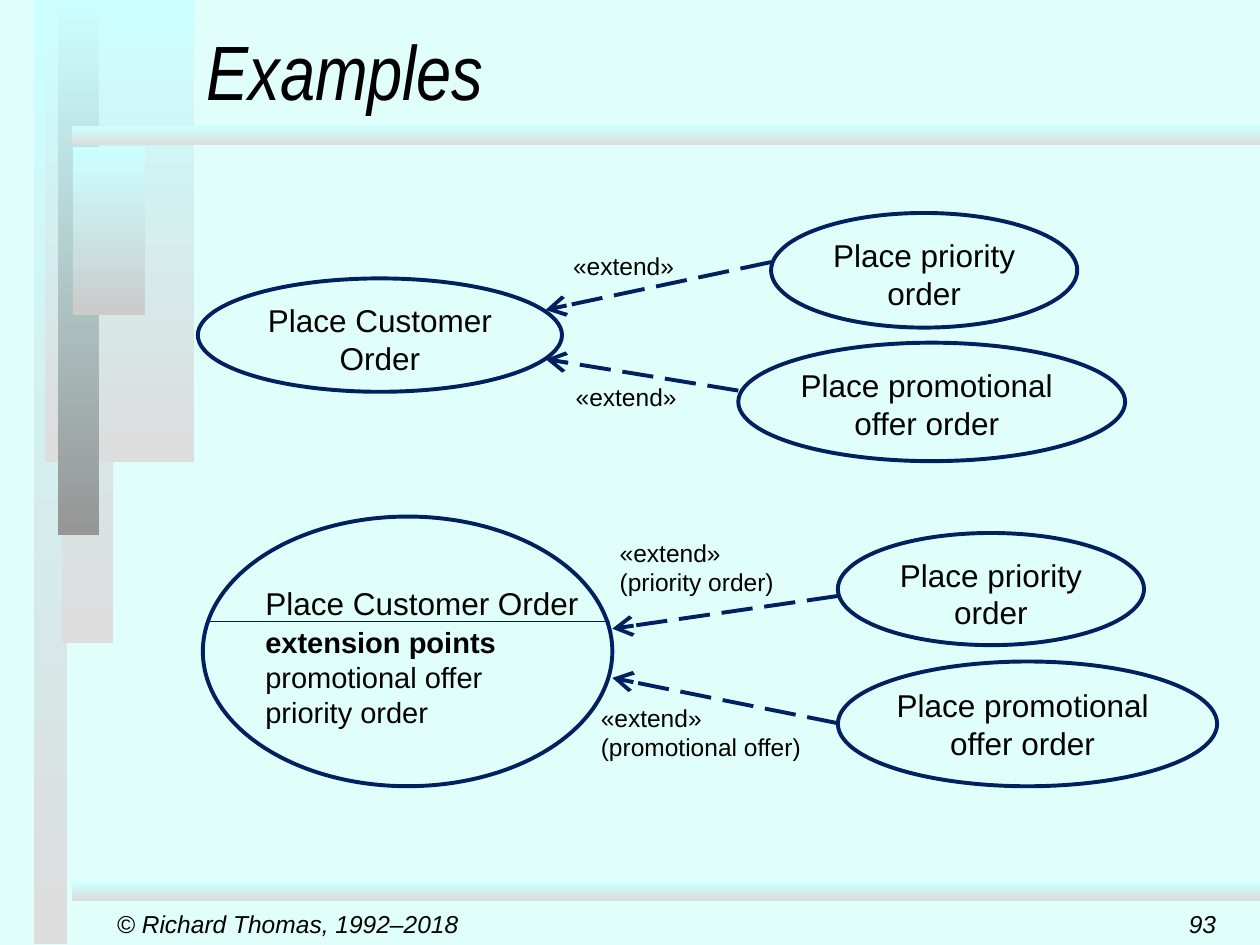
"""Build the slide of use case extend examples."""
from pptx import Presentation
from pptx.dml.color import RGBColor
from pptx.enum.dml import MSO_LINE
from pptx.enum.shapes import MSO_CONNECTOR, MSO_SHAPE
from pptx.enum.text import MSO_ANCHOR, PP_ALIGN
from pptx.oxml.ns import qn
from pptx.util import Inches, Pt
from lxml.etree import SubElement

MINT = RGBColor(0xE1, 0xFF, 0xFA)
CYAN = RGBColor(0xCC, 0xFF, 0xFF)
PALE = RGBColor(0xDD, 0xDD, 0xDD)
SILVER = RGBColor(0xCB, 0xCB, 0xCB)
GRAY = RGBColor(0x96, 0x96, 0x96)
NAVY = RGBColor(0x00, 0x20, 0x60)
BLACK = RGBColor(0, 0, 0)


def write(frame, lines, size, align=PP_ALIGN.LEFT, face="Arial", italic=False):
    frame.word_wrap = True
    for i, line in enumerate(lines):
        para = frame.paragraphs[0] if i == 0 else frame.add_paragraph()
        para.alignment = align
        run = para.add_run()
        run.text = line
        run.font.size = Pt(size)
        run.font.name = face
        run.font.italic = italic
        run.font.color.rgb = BLACK


def oval(*box):
    shape = slide.shapes.add_shape(MSO_SHAPE.OVAL, *map(Inches, box))
    shape.shadow.inherit = False
    shape.fill.background()
    shape.line.color.rgb = NAVY
    shape.line.width = Pt(2.25)
    shape.text_frame.vertical_anchor = MSO_ANCHOR.TOP
    return shape.text_frame


deck = Presentation()
deck.slide_width = Inches(10)
deck.slide_height = Inches(7.5)
slide = deck.slides.add_slide(deck.slide_layouts[6])
slide.background.fill.solid()
slide.background.fill.fore_color.rgb = MINT

bars = [
    (0.27, 0, 0.26, 7.49, PALE),
    (0.49, 0, 0.41, 5.1, PALE),
    (0.36, 0, 1.18, 3.67, PALE),
    (0.46, 0, 0.33, 4.25, GRAY),
    (0.58, 1.17, 0.57, 1.33, SILVER),
    (0.57, 1, 9.43, 0.15, PALE),
    (0.57, 7, 9.43, 0.15, PALE),
]
for *box, end in bars:
    bar = slide.shapes.add_shape(MSO_SHAPE.RECTANGLE, *map(Inches, box))
    bar.shadow.inherit = False
    bar.line.fill.background()
    bar.fill.gradient()
    bar.fill.gradient_angle = 270
    for stop, color, place in zip(bar.fill.gradient_stops, (CYAN, end), (0, 1)):
        stop.color.rgb = color
        stop.position = place

title = slide.shapes.add_textbox(Inches(1.54), Inches(0), Inches(8.12), Inches(0.97))
title.text_frame.vertical_anchor = MSO_ANCHOR.BOTTOM
write(title.text_frame, ["Examples"], 44, face="Arial Narrow", italic=True)

cases = [
    (1.57, 2.21, 2.89, 0.9, 0.1, "Place Customer Order"),
    (6.12, 1.69, 2.43, 0.91, 0.1, "Place priority order"),
    (5.86, 2.72, 3.07, 0.94, 0.02, "Place promotional offer order"),
    (6.65, 4.23, 2.43, 0.89, 0.1, "Place priority order"),
    (6.65, 5.25, 3.01, 0.99, 0.02, "Place promotional offer order"),
]
for *box, inset, name in cases:
    frame = oval(*box)
    frame.margin_left = Inches(inset)
    write(frame, [name], 18, PP_ALIGN.CENTER)

frame = oval(1.61, 4.1, 3.25, 2.14)
frame.margin_left = frame.margin_right = Inches(0.02)
frame.margin_top = Inches(0.22)
write(frame, ["Place Customer Order", "extension points", "promotional offer", "priority order"], 16.6)
frame.word_wrap = False
head, points = frame.paragraphs[:2]
head.space_after = Pt(1.9)
head.runs[0].font.size = Pt(18)
points.runs[0].font.bold = True

lines = [
    (6.12, 2.08, 4.33, 2.46, True),
    (5.86, 3.1, 4.33, 2.85, True),
    (6.65, 4.73, 4.86, 4.99, True),
    (6.65, 5.74, 4.86, 5.38, True),
    (1.64, 4.93, 4.84, 4.93, False),
]
for *ends, arrow in lines:
    link = slide.shapes.add_connector(MSO_CONNECTOR.STRAIGHT, *map(Inches, ends))
    link.line.color.rgb = NAVY
    link.line.width = Pt(2.25 if arrow else 0.5)
    if arrow:
        link.line.dash_style = MSO_LINE.LONG_DASH
        SubElement(link.line._get_or_add_ln(), qn("a:tailEnd"), type="arrow", w="lg", len="lg")
    SubElement(link._element.spPr, qn("a:effectLst"))

labels = [
    (4.45, 1.94, 1.02, 0.38, ["«extend»"]),
    (4.47, 2.98, 1.08, 0.38, ["«extend»"]),
    (4.82, 4.22, 1.44, 0.59, ["«extend»", "(priority order)"]),
    (4.67, 5.53, 1.83, 0.59, ["«extend»", "(promotional offer)"]),
]
for *box, words in labels:
    label = slide.shapes.add_textbox(*map(Inches, box))
    write(label.text_frame, words, 14)
    label.text_frame.word_wrap = False

feet = [
    (9.25, 0.5, "93", PP_ALIGN.RIGHT),
    (0.83, 3.1, "© Richard Thomas, 1992–2018", PP_ALIGN.LEFT),
]
for left, width, words, align in feet:
    foot = slide.shapes.add_textbox(Inches(left), Inches(7.17), Inches(width), Inches(0.33))
    foot.text_frame.vertical_anchor = MSO_ANCHOR.MIDDLE
    write(foot.text_frame, [words], 14, align, italic=True)

deck.save("out.pptx")
